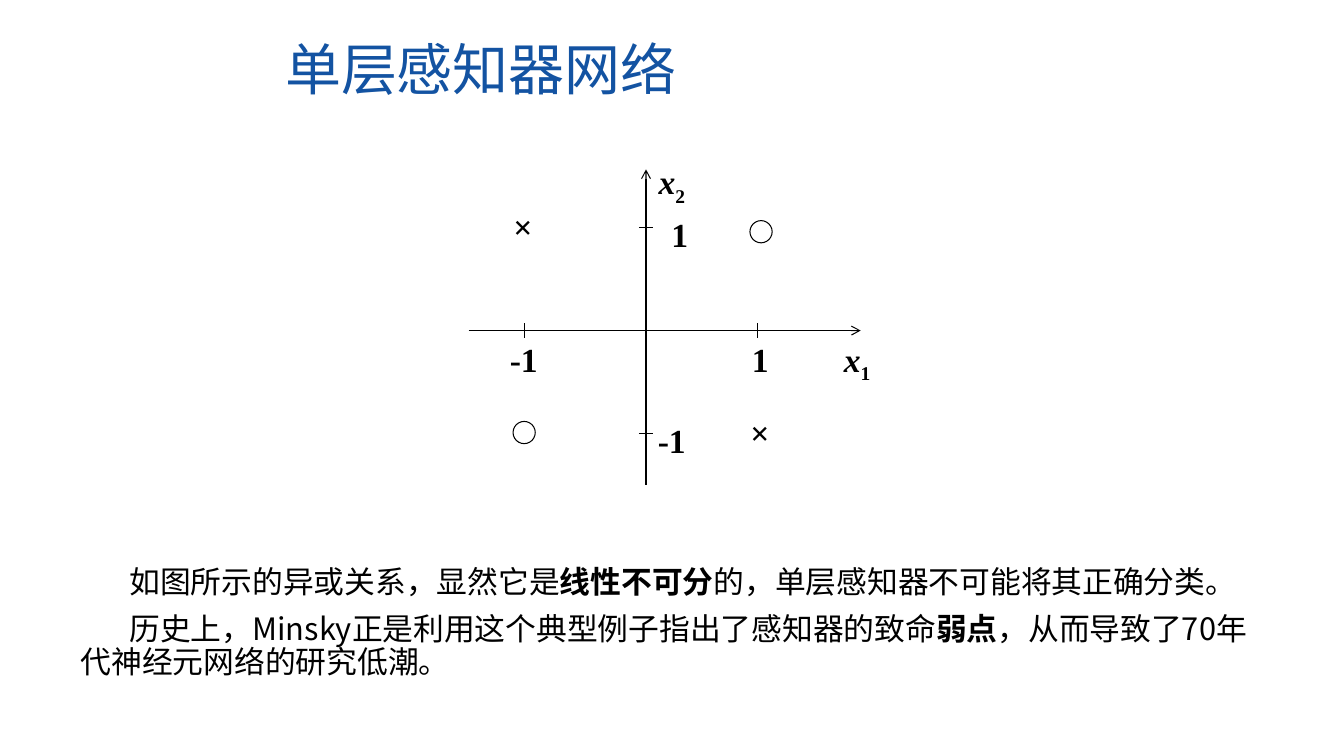
"""Build the slide on the XOR limit of a single-layer perceptron."""
from lxml.etree import SubElement
from pptx import Presentation
from pptx.dml.color import RGBColor
from pptx.enum.shapes import MSO_CONNECTOR, MSO_SHAPE
from pptx.enum.text import MSO_ANCHOR, MSO_AUTO_SIZE, PP_ALIGN
from pptx.oxml.ns import qn
from pptx.util import Cm, Pt

TITLE = "单层感知器网络"
BODY = [
    [("如图所示的异或关系，显然它是", False), ("线性不可分", True),
     ("的，单层感知器不可能将其正确分类。", False)],
    [("历史上，Minsky正是利用这个典型例子指出了感知器的致命", False),
     ("弱点", True), ("，从而导致了70年代神经元网络的研究低潮。", False)],
]
COLORS = {"title": "1353A2", "ink": "000000"}
SANS, SERIF = "Noto Sans CJK SC", "Times New Roman"

ORIGIN = (16.28, 8.33)
AXES = [(11.81, ORIGIN[1], 21.69, ORIGIN[1]),
        (ORIGIN[0], 12.22, ORIGIN[0], 4.27)]
TICKS_X = [13.21, 19.08]
TICKS_Y = [5.74, 10.92]
TICK = 0.18
RINGS = [(18.9, 5.56), (12.93, 10.62)]
RING = 0.56
LABELS = [
    (21.13, 8.53, "x", "1"), (16.46, 4.06, "x", "2"),
    (18.69, 8.53, "1", ""), (12.73, 8.53, "-1", ""),
    (16.66, 5.38, "1", ""), (16.46, 10.57, "-1", ""),
    (18.68, 10.39, "×", ""), (12.71, 5.18, "×", ""),
]
LABEL = (0.94, 0.89)


def color(key):
    return RGBColor.from_string(COLORS[key])


def place(shape, *box):
    shape.left, shape.top, shape.width, shape.height = map(Cm, box)


def add_run(para, text, size, face, key="ink", bold=False):
    run = para.add_run()
    run.text = text
    font = run.font
    font.size, font.name, font.bold = Pt(size), face, bold
    font.color.rgb = color(key)
    SubElement(font._element, qn("a:ea"), typeface=face)
    return run


def add_line(slide, ends, arrow=False):
    line = slide.shapes.add_connector(MSO_CONNECTOR.STRAIGHT, *map(Cm, ends))
    line.line.color.rgb = color("ink")
    line.line.width = Pt(0.75)
    if arrow:
        SubElement(line.line._get_or_add_ln(), qn("a:tailEnd"), type="arrow")
    SubElement(line._element.spPr, qn("a:effectLst"))


def add_ring(slide, left, top):
    ring = slide.shapes.add_shape(
        MSO_SHAPE.OVAL, Cm(left), Cm(top), Cm(RING), Cm(RING))
    ring.shadow.inherit = False
    ring.fill.background()
    ring.line.color.rgb = color("ink")
    ring.line.width = Pt(0.75)


def add_label(slide, left, top, text, sub):
    frame = slide.shapes.add_textbox(*map(Cm, (left, top, *LABEL))).text_frame
    frame.word_wrap = True
    frame.margin_left = frame.margin_right = 0
    frame.margin_top = frame.margin_bottom = 0
    para = frame.paragraphs[0]
    para.alignment = PP_ALIGN.CENTER
    run = add_run(para, text, 24, SERIF, bold=True)
    if sub:
        run.font.italic = True
        low = add_run(para, sub, 24, SERIF, bold=True)
        low.font._element.set("baseline", "-25000")


def fill_title(shape):
    place(shape, 6.93, 0.74, 23.27, 1.96)
    frame = shape.text_frame
    frame.auto_size = MSO_AUTO_SIZE.NONE
    frame.vertical_anchor = MSO_ANCHOR.MIDDLE
    para = frame.paragraphs[0]
    para.alignment = PP_ALIGN.LEFT
    add_run(para, TITLE, 40, SANS, "title")


def fill_body(shape):
    place(shape, 1.78, 14.15, 30.28, 3.51)
    frame = shape.text_frame
    frame.auto_size = MSO_AUTO_SIZE.NONE
    for num, parts in enumerate(BODY):
        para = frame.add_paragraph() if num else frame.paragraphs[0]
        para.line_spacing = 0.9
        para.space_before = Pt(10 if num else 0)
        props = para._p.get_or_add_pPr()
        props.set("marL", "0")
        props.set("indent", str(Cm(1.23)))
        SubElement(props, qn("a:buNone"))
        for text, bold in parts:
            add_run(para, text, 22, SANS, bold=bold)


def main():
    deck = Presentation()
    deck.slide_width, deck.slide_height = Cm(33.87), Cm(19.05)
    slide = deck.slides.add_slide(deck.slide_layouts[1])
    fill_title(slide.shapes.title)
    fill_body(slide.placeholders[1])
    for ends in AXES:
        add_line(slide, ends, arrow=True)
    for x in TICKS_X:
        add_line(slide, (x, ORIGIN[1] - TICK, x, ORIGIN[1] + TICK))
    for y in TICKS_Y:
        add_line(slide, (ORIGIN[0] - TICK, y, ORIGIN[0] + TICK, y))
    for spot in RINGS:
        add_ring(slide, *spot)
    for label in LABELS:
        add_label(slide, *label)
    deck.save("out.pptx")


if __name__ == "__main__":
    main()
